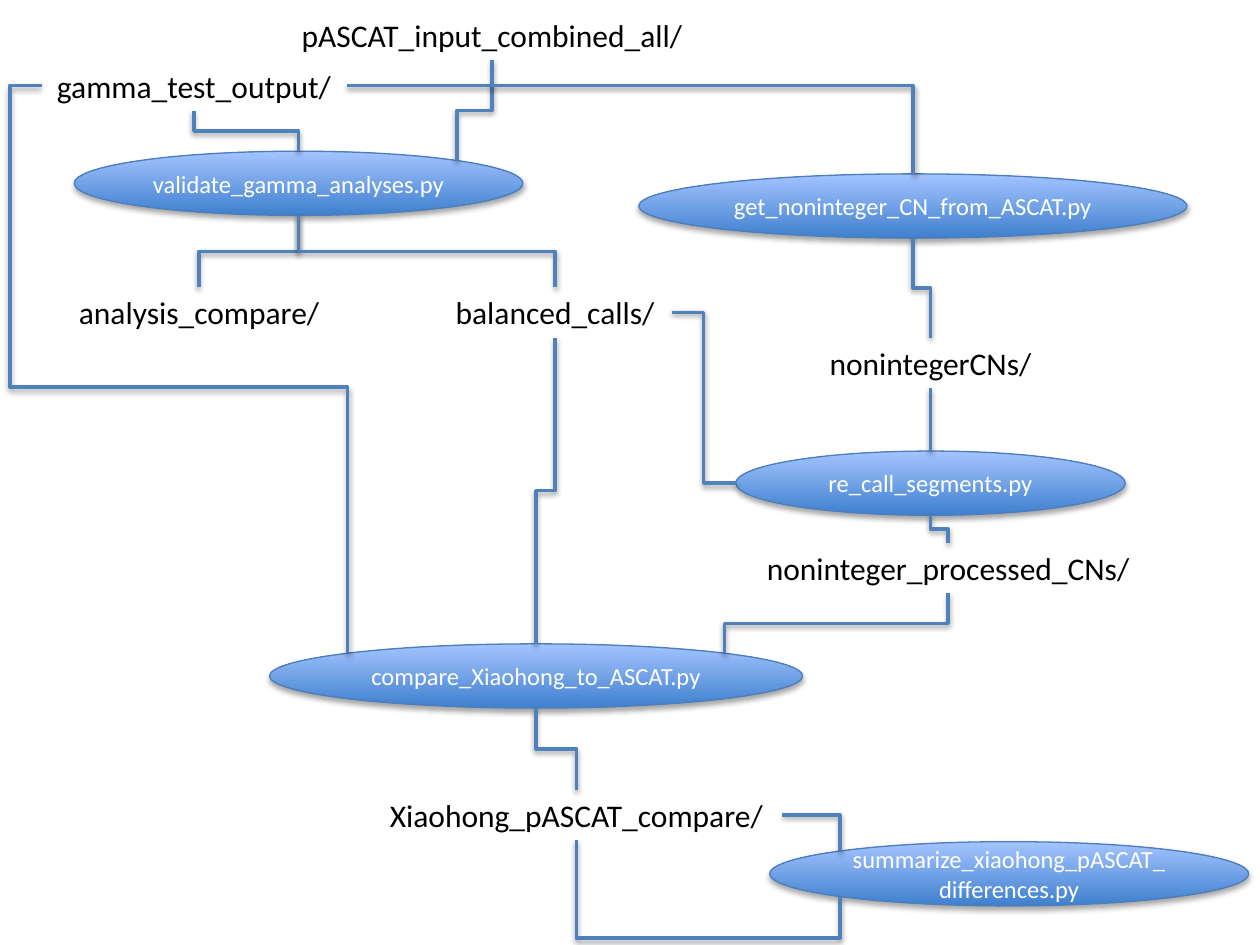
import pptx
import pptx.dml.color
import pptx.enum.dml
import pptx.enum.shapes
import pptx.enum.text
import pptx.oxml
import pptx.oxml.ns
import pptx.util
import math

Inches = pptx.util.Inches
Pt = pptx.util.Pt
RGBColor = pptx.dml.color.RGBColor
MSO_SHAPE = pptx.enum.shapes.MSO_SHAPE
qn = pptx.oxml.ns.qn

BLACK = RGBColor(0x00, 0x00, 0x00)
WHITE = RGBColor(0xFF, 0xFF, 0xFF)
DEEP_BLUE = RGBColor(0x3F, 0x80, 0xCE)
PALE_BLUE = RGBColor(0xA4, 0xC4, 0xFF)
OUTLINE = RGBColor(0x4B, 0x7E, 0xBC)
LINK = RGBColor(0x4F, 0x81, 0xBD)

FONT = "Calibri"
FOLDER_HEIGHT = 0.4
SCRIPT_HEIGHT = 0.51

FOLDERS = {
    "pASCAT_input_combined_all/": (2.15, 0.08, 3.51),
    "gamma_test_output/": (0.33, 0.48, 2.42),
    "analysis_compare/": (0.5, 2.28, 2.16),
    "balanced_calls/": (3.48, 2.28, 1.85),
    "nonintegerCNs/": (6.46, 2.68, 1.85),
    "noninteger_processed_CNs/": (5.98, 4.31, 3.09),
    "Xiaohong_pASCAT_compare/": (2.94, 6.27, 3.27),
}

SCRIPTS = {
    "validate_gamma_analyses.py": (0.59, 1.2, 3.56),
    "get_noninteger_CN_from_ASCAT.py": (5.07, 1.38, 4.35),
    "re_call_segments.py": (5.84, 3.58, 3.09),
    "compare_Xiaohong_to_ASCAT.py": (2.14, 5.11, 4.23),
    "summarize_xiaohong_pASCAT_differences.py": (6.11, 6.68, 3.8),
}

FOLDER_SITES = ["top", "left", "bottom", "right"]
SCRIPT_SITES = ["top", "top left", "left", "bottom left",
                "bottom", "bottom right", "right", "top right"]

LINKS = [
    ("pASCAT_input_combined_all/", "bottom",
     "validate_gamma_analyses.py", "top right", 3, [0.5]),
    ("gamma_test_output/", "bottom", "validate_gamma_analyses.py", "top", 3, [0.5]),
    ("gamma_test_output/", "right", "get_noninteger_CN_from_ASCAT.py", "top", 2, []),
    ("gamma_test_output/", "left",
     "compare_Xiaohong_to_ASCAT.py", "top left", 4, [-0.103, 0.531]),
    ("validate_gamma_analyses.py", "bottom", "analysis_compare/", "top", 3, [0.5]),
    ("validate_gamma_analyses.py", "bottom", "balanced_calls/", "top", 3, [0.5]),
    ("get_noninteger_CN_from_ASCAT.py", "bottom", "nonintegerCNs/", "top", 3, [0.5]),
    ("nonintegerCNs/", "bottom", "re_call_segments.py", "top", 3, [0.5]),
    ("balanced_calls/", "right", "re_call_segments.py", "left", 3, [0.5]),
    ("re_call_segments.py", "bottom", "noninteger_processed_CNs/", "top", 3, [0.5]),
    ("noninteger_processed_CNs/", "bottom",
     "compare_Xiaohong_to_ASCAT.py", "top right", 3, [0.5]),
    ("balanced_calls/", "bottom", "compare_Xiaohong_to_ASCAT.py", "top", 3, [0.5]),
    ("compare_Xiaohong_to_ASCAT.py", "bottom",
     "Xiaohong_pASCAT_compare/", "top", 3, [0.5]),
    ("Xiaohong_pASCAT_compare/", "right",
     "summarize_xiaohong_pASCAT_differences.py", "top left", 2, []),
    ("Xiaohong_pASCAT_compare/", "bottom",
     "summarize_xiaohong_pASCAT_differences.py", "bottom left", 3, [1.743]),
]


def write_text(box, text, size, color):
    frame = box.text_frame
    frame.word_wrap = True
    frame.text = text
    para = frame.paragraphs[0]
    para.alignment = pptx.enum.text.PP_ALIGN.CENTER
    font = para.runs[0].font
    font.name = FONT
    font.size = Pt(size)
    font.color.rgb = color


def add_folder(page, text, left, top, width):
    box = page.shapes.add_textbox(
        Inches(left), Inches(top), Inches(width), Inches(FOLDER_HEIGHT))
    write_text(box, text, 18, BLACK)
    return box


def add_script(page, text, left, top, width):
    oval = page.shapes.add_shape(
        MSO_SHAPE.OVAL, Inches(left), Inches(top), Inches(width), Inches(SCRIPT_HEIGHT))
    oval.fill.gradient()
    oval.fill.gradient_angle = 90
    for stop, color in zip(oval.fill.gradient_stops, (DEEP_BLUE, PALE_BLUE)):
        stop.color.rgb = color
    oval.line.color.rgb = OUTLINE
    oval.line.width = Pt(0.75)
    oval.text_frame.vertical_anchor = pptx.enum.text.MSO_ANCHOR.MIDDLE
    write_text(oval, text, 14, WHITE)
    return oval


def site_point(node, site):
    reach = math.sqrt(0.5) if " " in site else 1
    across = ("right" in site) - ("left" in site)
    down = ("bottom" in site) - ("top" in site)
    return (node.left + node.width / 2 * (1 + reach * across),
            node.top + node.height / 2 * (1 + reach * down))


def glue(link, tag, node, site):
    sites = FOLDER_SITES if node.text_frame.text in FOLDERS else SCRIPT_SITES
    holder = link.element.find(".//" + qn("p:cNvCxnSpPr"))
    end = pptx.oxml.parse_xml(
        f'<a:{tag} {pptx.oxml.ns.nsdecls("a")} id="{node.shape_id}" '
        f'idx="{sites.index(site)}"/>')
    holder.append(end)


def add_link(page, start, start_site, finish, finish_site, bends, adjustments):
    x1, y1 = site_point(start, start_site)
    x2, y2 = site_point(finish, finish_site)
    link = page.shapes.add_connector(
        pptx.enum.shapes.MSO_CONNECTOR.ELBOW, int(x1), int(y1), int(x2), int(y2))
    link.line.color.rgb = LINK
    link.line.width = Pt(2)
    if start_site == "bottom":
        width, height = abs(y2 - y1), abs(x2 - x1)
        link.left = int((x1 + x2 - width) / 2)
        link.top = int((y1 + y2 - height) / 2)
        link.width, link.height = int(width), int(height)
        frame = link.element.spPr.find(qn("a:xfrm"))
        frame.attrib.pop("flipH", None)
        frame.set("rot", str(90 * 60000))
        if x2 > x1:
            frame.set("rot", str(270 * 60000))
            frame.set("flipH", "1")
    outline = link.element.spPr.find(qn("a:prstGeom"))
    outline.set("prst", f"bentConnector{bends}")
    guides = outline.find(qn("a:avLst"))
    for number, value in enumerate(adjustments, 1):
        name = "adj1" if number == 1 else f"adj{number}"
        guides.append(pptx.oxml.parse_xml(
            f'<a:gd {pptx.oxml.ns.nsdecls("a")} name="{name}" '
            f'fmla="val {round(value * 100000)}"/>'))
    glue(link, "stCxn", start, start_site)
    glue(link, "endCxn", finish, finish_site)


def main():
    deck = pptx.Presentation()
    deck.slide_width = Inches(10)
    deck.slide_height = Inches(7.5)
    page = deck.slides.add_slide(deck.slide_layouts[6])
    nodes = {}
    for text, place in FOLDERS.items():
        nodes[text] = add_folder(page, text, *place)
    for text, place in SCRIPTS.items():
        nodes[text] = add_script(page, text, *place)
    for start, start_site, finish, finish_site, bends, adjustments in LINKS:
        add_link(page, nodes[start], start_site,
                 nodes[finish], finish_site, bends, adjustments)
    deck.save("out.pptx")


main()
